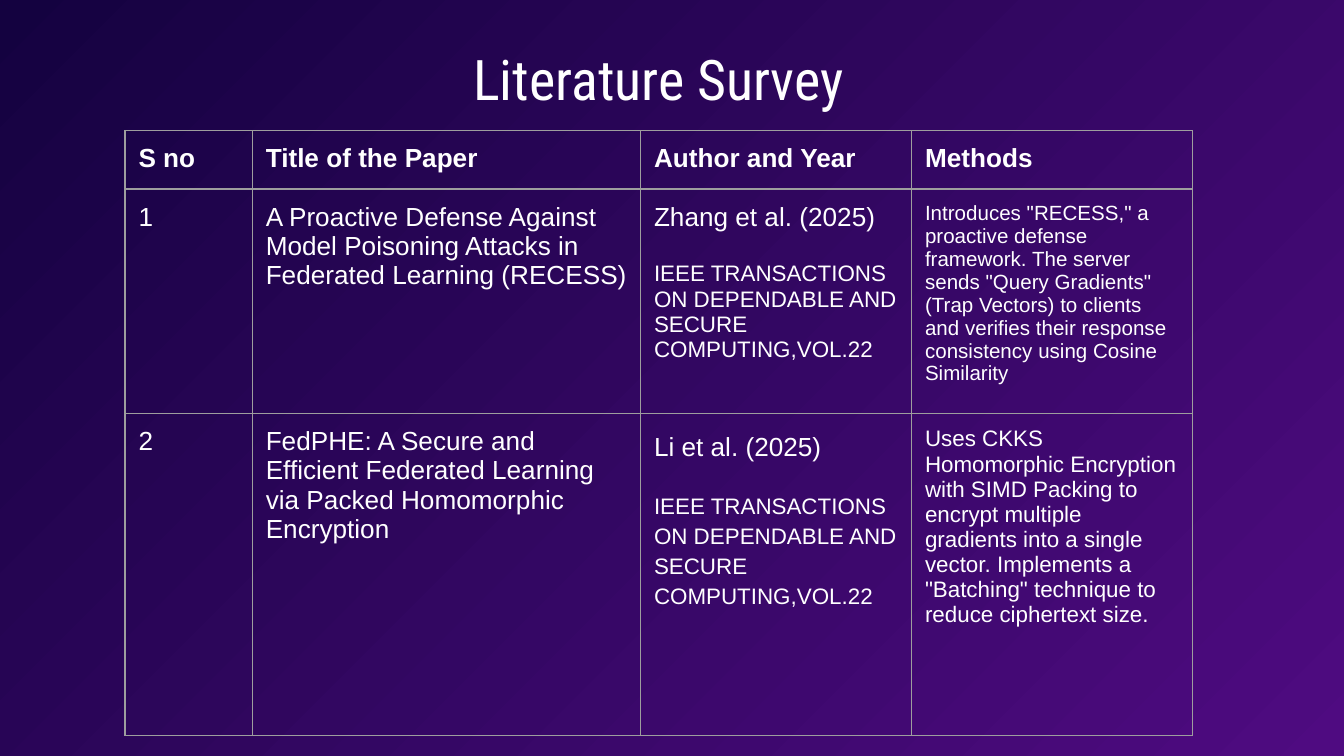
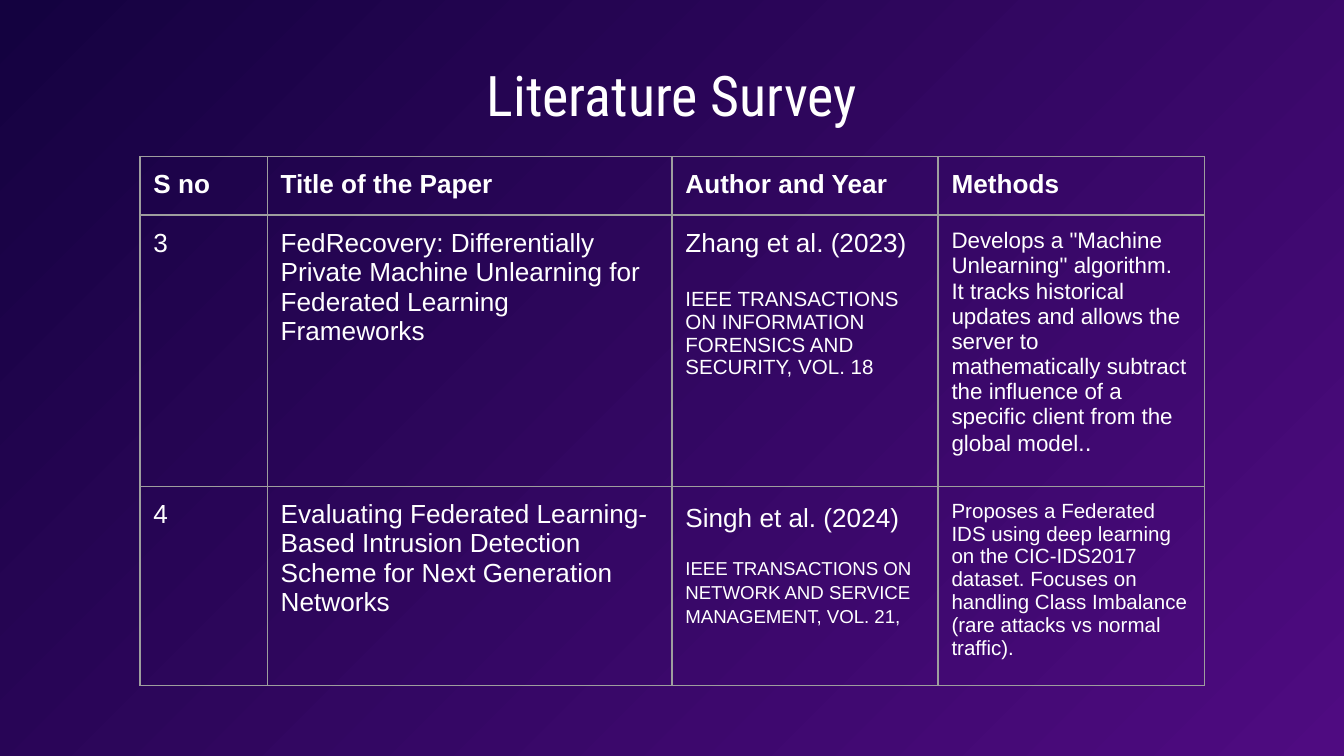
import pptx
import pptx.dml.color
import pptx.enum.text
import pptx.oxml
import pptx.oxml.ns
import pptx.util

Pt = pptx.util.Pt
RGB = pptx.dml.color.RGBColor
CENTER = pptx.enum.text.PP_ALIGN.CENTER

NIGHT = RGB(0x14, 0x02, 0x40)
VIOLET = RGB(0x4F, 0x0B, 0x81)
WHITE = RGB(0xFF, 0xFF, 0xFF)
GREY = RGB(0x9E, 0x9E, 0x9E)
INSET = Pt(7.2)
HEADS = ("S no", "Title of the Paper", "Author and Year", "Methods")


def write(par, text, size=14, font="Arial", bold=False, align=None,
          lead=None, before=None):
    """Add a run of text to a paragraph and set its format."""
    run = par.add_run()
    run.text = text
    run.font.size = Pt(size)
    run.font.name = font
    run.font.bold = bold
    run.font.color.rgb = WHITE
    if align is not None:
        par.alignment = align
    if lead is not None:
        par.line_spacing = lead
    if before is not None:
        par.space_before = Pt(before)


def pad(box):
    """Give a text frame or a cell the same inset on all sides."""
    box.margin_left = box.margin_right = INSET
    box.margin_top = box.margin_bottom = INSET


class Deck:
    """Holds the shared style and the current slide."""

    def __init__(self):
        self.file = pptx.Presentation()
        self.file.slide_width = Pt(720)
        self.file.slide_height = Pt(405)
        self.slide = None

    def start(self):
        self.slide = self.file.slides.add_slide(self.file.slide_layouts[6])
        fill = self.slide.background.fill
        fill.gradient()
        fill.gradient_angle = 315
        for stop, color, place in zip(fill.gradient_stops, (NIGHT, VIOLET), (0, 1)):
            stop.color.rgb = color
            stop.position = place

    def title(self, text, left, top):
        box = self.slide.shapes.add_textbox(Pt(left), Pt(top), Pt(605), Pt(50))
        frame = box.text_frame
        frame.word_wrap = True
        pad(frame)
        write(frame.paragraphs[0], text, size=30, font="Roboto Condensed", align=CENTER)

    def border(self, cell):
        props = cell._tc.get_or_add_tcPr()
        for index, side in enumerate("LRTB"):
            line = pptx.oxml.parse_xml(
                f'<a:ln{side} {pptx.oxml.ns.nsdecls("a")} w="{Pt(0.75)}">'
                f'<a:solidFill><a:srgbClr val="{GREY}"/></a:solidFill></a:ln{side}>')
            props.insert(index, line)

    def table(self, left, top, widths, heights, rows):
        """Draw rows of cells; a cell is a list of paragraphs, each a list of runs."""
        shape = self.slide.shapes.add_table(
            len(heights), len(widths), Pt(left), Pt(top),
            Pt(sum(widths)), Pt(sum(heights)))
        grid = shape.table
        grid.horz_banding = False
        for col, width in zip(grid.columns, widths):
            col.width = Pt(width)
        for row, height in zip(grid.rows, heights):
            row.height = Pt(height)
        head = [[[(name, {"bold": True})]] for name in HEADS]
        for row, cells in zip(grid.rows, [head, *rows]):
            for cell, pars in zip(row.cells, cells):
                cell.fill.background()
                self.border(cell)
                pad(cell)
                for index, runs in enumerate(pars):
                    frame = cell.text_frame
                    par = frame.add_paragraph() if index else frame.paragraphs[0]
                    for text, style in runs:
                        write(par, text, **style)


def paper(number, name, author, journal, method, size=12, gap=16,
          lead=None, small=12, tail=None):
    """Make one table row; size is for the journal, small for the method."""
    methods = [(method, {"size": small})]
    if tail:
        methods.append((tail, {"size": 13}))
    return [
        [[(number, {})]],
        [[(name, {})]],
        [[(author, {"lead": lead})],
         [(journal, {"size": size, "lead": lead, "before": gap})]],
        [methods],
    ]


def main():
    deck = Deck()
    title = "Literature Survey"
    trust = "IEEE TRANSACTIONS ON DEPENDABLE AND SECURE COMPUTING,VOL.22"

    deck.start()
    deck.title(title, 50.4, 16.6)
    deck.table(67, 70, (68.2, 208, 145.2, 150.6), (30.2, 113, 172.6), [
        paper("1",
              "A Proactive Defense Against Model Poisoning Attacks in "
              "Federated Learning (RECESS)",
              "Zhang et al. (2025)", trust,
              'Introduces "RECESS," a proactive defense framework. The server '
              'sends "Query Gradients" (Trap Vectors) to clients and verifies '
              "their response consistency using Cosine Similarity",
              small=11),
        paper("2",
              "FedPHE: A Secure and Efficient Federated Learning via Packed "
              "Homomorphic Encryption",
              "Li et al. (2025)", trust,
              "Uses CKKS Homomorphic Encryption with SIMD Packing to encrypt "
              "multiple gradients into a single vector. Implements a "
              '"Batching" technique to reduce ciphertext size.',
              gap=14.5, lead=1.2),
    ])

    deck.start()
    deck.title(title, 57.6, 25.2)
    deck.table(75, 84, (68.2, 216.8, 142.6, 142.6), (30.2, 136.6, 100), [
        paper("3",
              "FedRecovery: Differentially Private Machine Unlearning for "
              "Federated Learning Frameworks",
              "Zhang et al. (2023)",
              "IEEE TRANSACTIONS ON INFORMATION FORENSICS AND SECURITY, VOL. 18",
              'Develops a "Machine Unlearning" algorithm. It tracks historical '
              "updates and allows the server to mathematically subtract the "
              "influence of a specific client from the global model.",
              size=11, tail="."),
        paper("4",
              "Evaluating Federated Learning-Based Intrusion Detection Scheme "
              "for Next Generation Networks",
              "Singh et al. (2024)",
              "IEEE TRANSACTIONS ON NETWORK AND SERVICE MANAGEMENT, VOL. 21,",
              "Proposes a Federated IDS using deep learning on the CIC-IDS2017 "
              "dataset. Focuses on handling Class Imbalance (rare attacks vs "
              "normal traffic).",
              size=10, gap=12, lead=1.15, small=11),
    ])

    deck.file.save("out.pptx")


if __name__ == "__main__":
    main()
